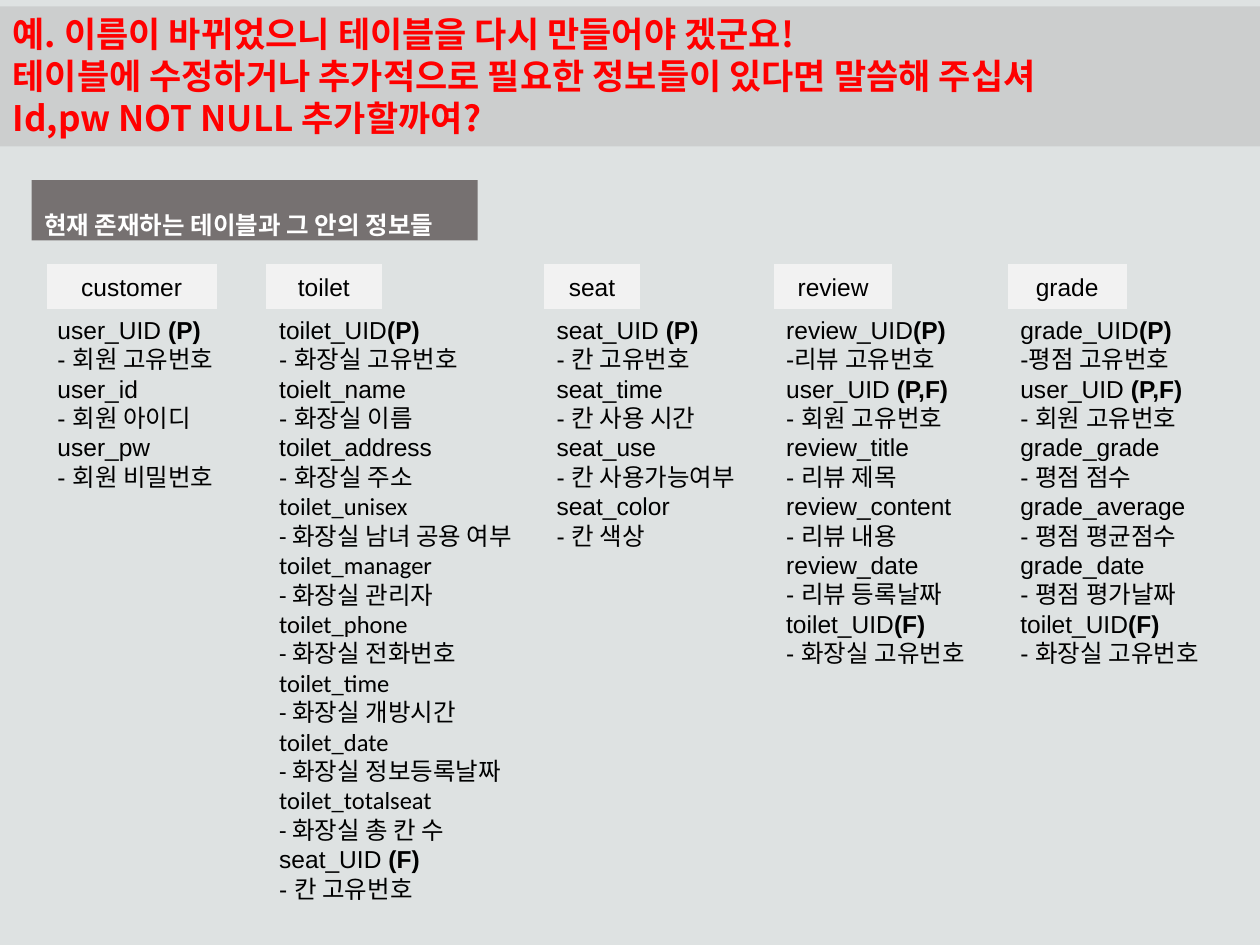
import pptx
import pptx.dml.color
import pptx.enum.shapes
import pptx.enum.text
import pptx.oxml
import pptx.oxml.ns
import pptx.util

Cm, Pt = pptx.util.Cm, pptx.util.Pt
RGBColor = pptx.dml.color.RGBColor
SHAPE = pptx.enum.shapes.MSO_SHAPE
ALIGN = pptx.enum.text.PP_ALIGN
ANCHOR = pptx.enum.text.MSO_ANCHOR
FIT = pptx.enum.text.MSO_AUTO_SIZE
qn = pptx.oxml.ns.qn

BACKGROUND = RGBColor(0xDE, 0xE2, 0xE2)
BANNER = RGBColor(0xBB, 0xBB, 0xBB)
LABEL = RGBColor(0x76, 0x71, 0x71)
TAG = RGBColor(0xF2, 0xF2, 0xF2)
RED = RGBColor(0xFF, 0x00, 0x00)
WHITE = RGBColor(0xFF, 0xFF, 0xFF)
BLACK = RGBColor(0x00, 0x00, 0x00)

KOREAN, ARIAL, CALIBRI = "Noto Sans CJK KR", "Arial", "Calibri"

TITLE = [
    "예. 이름이 바뀌었으니 테이블을 다시 만들어야 겠군요!",
    "테이블에 수정하거나 추가적으로 필요한 정보들이 있다면 말씀해 주십셔",
    "Id,pw NOT NULL 추가할까여?",
]

# Each field: name, key mark, description, font
CUSTOMER = [
    ("user_UID ", "(P)", "- 회원 고유번호", ARIAL),
    ("user_id", "", "- 회원 아이디", ARIAL),
    ("user_pw", "", "- 회원 비밀번호", ARIAL),
]
TOILET = [
    ("toilet_UID", "(P)", "- 화장실 고유번호", ARIAL),
    ("toielt_name", "", "- 화장실 이름", ARIAL),
    ("toilet_address", "", "- 화장실 주소", ARIAL),
    ("toilet_unisex", "", "- 화장실 남녀 공용 여부", CALIBRI),
    ("toilet_manager", "", "- 화장실 관리자", CALIBRI),
    ("toilet_phone", "", "- 화장실 전화번호", CALIBRI),
    ("toilet_time", "", "- 화장실 개방시간", CALIBRI),
    ("toilet_date", "", "- 화장실 정보등록날짜", CALIBRI),
    ("toilet_totalseat", "", "- 화장실 총 칸 수", CALIBRI),
    ("seat_UID ", "(F)", "- 칸 고유번호", ARIAL),
]
SEAT = [
    ("seat_UID ", "(P)", "- 칸 고유번호", ARIAL),
    ("seat_time", "", "- 칸 사용 시간", ARIAL),
    ("seat_use", "", "- 칸 사용가능여부", ARIAL),
    ("seat_color", "", "- 칸 색상", ARIAL),
]
USER_KEY = ("user_UID ", "(P,F)", "- 회원 고유번호", ARIAL)
TOILET_KEY = ("toilet_UID", "(F)", "- 화장실 고유번호", ARIAL)
REVIEW = [
    ("review_UID", "(P)", "-리뷰 고유번호", ARIAL),
    USER_KEY,
    ("review_title", "", "- 리뷰 제목", ARIAL),
    ("review_content", "", "- 리뷰 내용", ARIAL),
    ("review_date", "", "- 리뷰 등록날짜", ARIAL),
    TOILET_KEY,
]
GRADE = [
    ("grade_UID", "(P)", "-평점 고유번호", ARIAL),
    USER_KEY,
    ("grade_grade", "", "- 평점 점수", ARIAL),
    ("grade_average", "", "- 평점 평균점수", ARIAL),
    ("grade_date", "", "- 평점 평가날짜", ARIAL),
    TOILET_KEY,
]

# Each table: name, tag left, tag width, list left, list width, fields
TABLES = [
    ("customer", 0.94, 3.43, 0.91, 4.14, CUSTOMER),
    ("toilet", 5.36, 2.34, 5.38, 6.02, TOILET),
    ("seat", 10.97, 1.93, 10.97, 4.55, SEAT),
    ("review", 15.6, 2.39, 15.6, 4.55, REVIEW),
    ("grade", 20.32, 2.39, 20.32, 5, GRADE),
]
TAG_TOP, TAG_HEIGHT = 5.33, 0.89
LINE = 16.8  # points per line in the field lists


class SlideBuilder:
    def __init__(self, slide):
        self.s = slide
        self.size = 14
        self.color = BLACK

    def run(self, p, text, font, bold=False, size=None, color=None):
        r = p.add_run()
        r.text = text
        r.font.name = font
        r.font.size = Pt(size or self.size)
        r.font.bold = bold
        r.font.color.rgb = color or self.color
        ea = pptx.oxml.parse_xml(
            f'<a:ea {pptx.oxml.ns.nsdecls("a")} typeface="{KOREAN}"/>')
        r.font._element.find(qn("a:latin")).addnext(ea)

    def paragraph(self, tf, first, spacing=None):
        p = tf.paragraphs[0] if first else tf.add_paragraph()
        p.alignment = ALIGN.LEFT
        p.line_spacing = spacing
        return p

    def title(self, lines, x, y, w, h):
        sp = self.s.shapes.title
        sp.left, sp.top, sp.width, sp.height = Cm(x), Cm(y), Cm(w), Cm(h)
        sp.fill.solid()
        sp.fill.fore_color.rgb = BANNER
        color = sp._element.spPr.find(qn("a:solidFill"))[0]
        color.append(pptx.oxml.parse_xml(
            f'<a:alpha {pptx.oxml.ns.nsdecls("a")} val="50000"/>'))
        tf = sp.text_frame
        tf.word_wrap = True
        tf.auto_size = FIT.SHAPE_TO_FIT_TEXT
        tf.vertical_anchor = ANCHOR.TOP
        for i, line in enumerate(lines):
            p = self.paragraph(tf, i == 0, Pt(24))
            self.run(p, line, KOREAN, True, 20, RED)

    def box(self, kind, x, y, w, h, fill):
        sp = self.s.shapes.add_shape(kind, Cm(x), Cm(y), Cm(w), Cm(h))
        sp.shadow.inherit = False
        sp.fill.solid()
        sp.fill.fore_color.rgb = fill
        sp.line.fill.background()
        sp.text_frame.word_wrap = True
        sp.text_frame.vertical_anchor = ANCHOR.MIDDLE
        return sp.text_frame

    def label(self, text, x, y, w, h):
        tf = self.box(SHAPE.RECTANGLE, x, y, w, h, LABEL)
        p = self.paragraph(tf, True, 2.0)
        self.run(p, text, CALIBRI, True, color=WHITE)

    def tag(self, text, x, y, w, h):
        tf = self.box(SHAPE.FLOWCHART_PROCESS, x, y, w, h, TAG)
        p = self.paragraph(tf, True)
        p.alignment = ALIGN.CENTER
        self.run(p, text, ARIAL)

    def field_list(self, fields, x, y, w):
        height = Pt(2 * len(fields) * LINE) + Cm(0.25)
        tf = self.s.shapes.add_textbox(Cm(x), Cm(y), Cm(w), height).text_frame
        tf.word_wrap = True
        tf.auto_size = FIT.SHAPE_TO_FIT_TEXT
        for i, (name, key, note, font) in enumerate(fields):
            p = self.paragraph(tf, i == 0, Pt(LINE))
            self.run(p, name, font)
            if key:
                self.run(p, key, font, True)
            p = self.paragraph(tf, False, Pt(LINE))
            self.run(p, note, font)


def main():
    prs = pptx.Presentation()
    prs.slide_width, prs.slide_height = Cm(25.4), Cm(19.05)
    s = prs.slides.add_slide(prs.slide_layouts[5])
    s.background.fill.solid()
    s.background.fill.fore_color.rgb = BACKGROUND
    builder = SlideBuilder(s)

    # Heading banner and section label
    builder.title(TITLE, 0, 0.13, 25.4, 2.82)
    builder.label("현재 존재하는 테이블과 그 안의 정보들", 0.64, 3.63, 8.99, 1.22)

    # Database tables: a name tag above a list of fields
    for name, tag_x, tag_w, list_x, list_w, fields in TABLES:
        builder.tag(name, tag_x, TAG_TOP, tag_w, TAG_HEIGHT)
        builder.field_list(fields, list_x, TAG_TOP + TAG_HEIGHT, list_w)

    prs.save("out.pptx")


if __name__ == "__main__":
    main()
